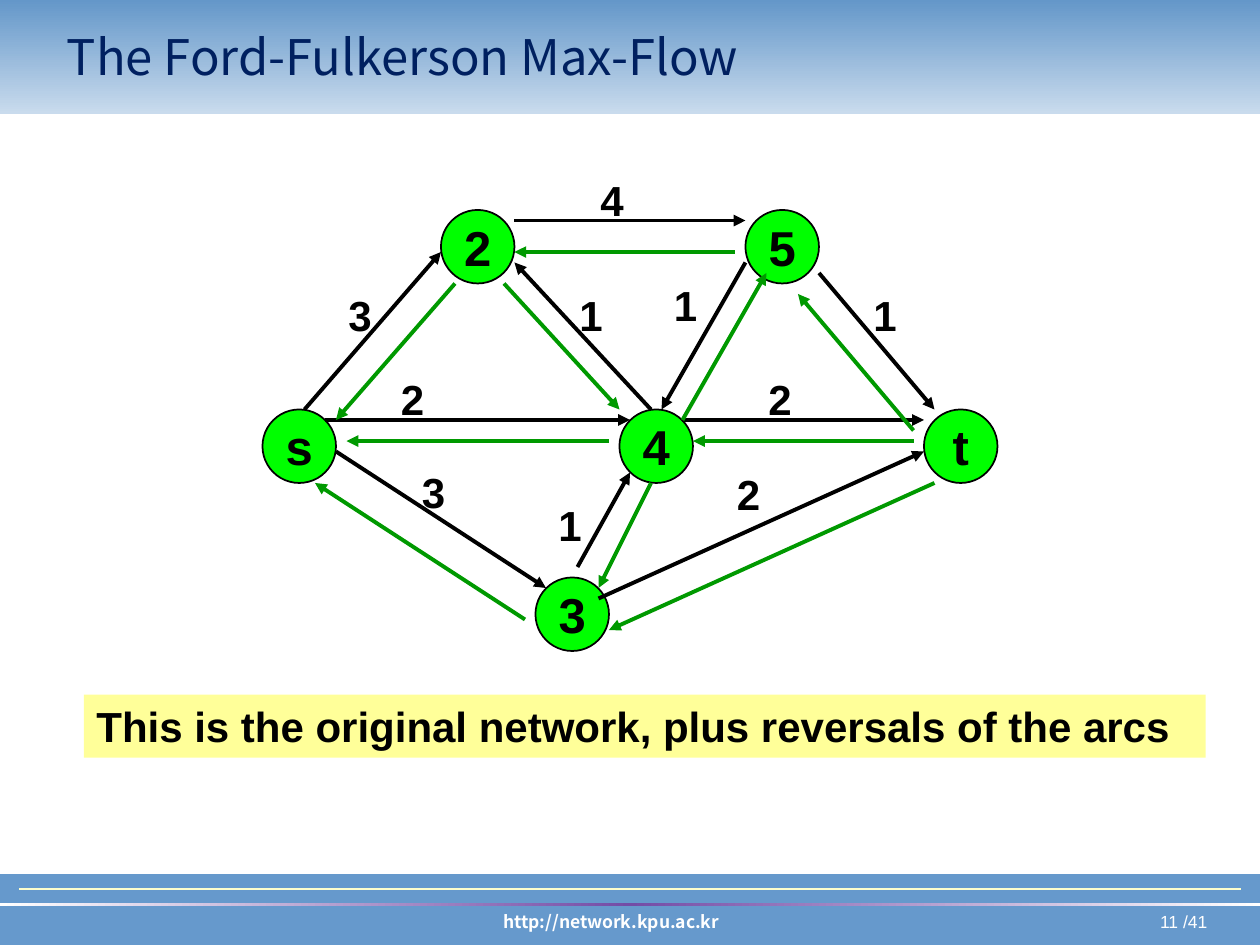
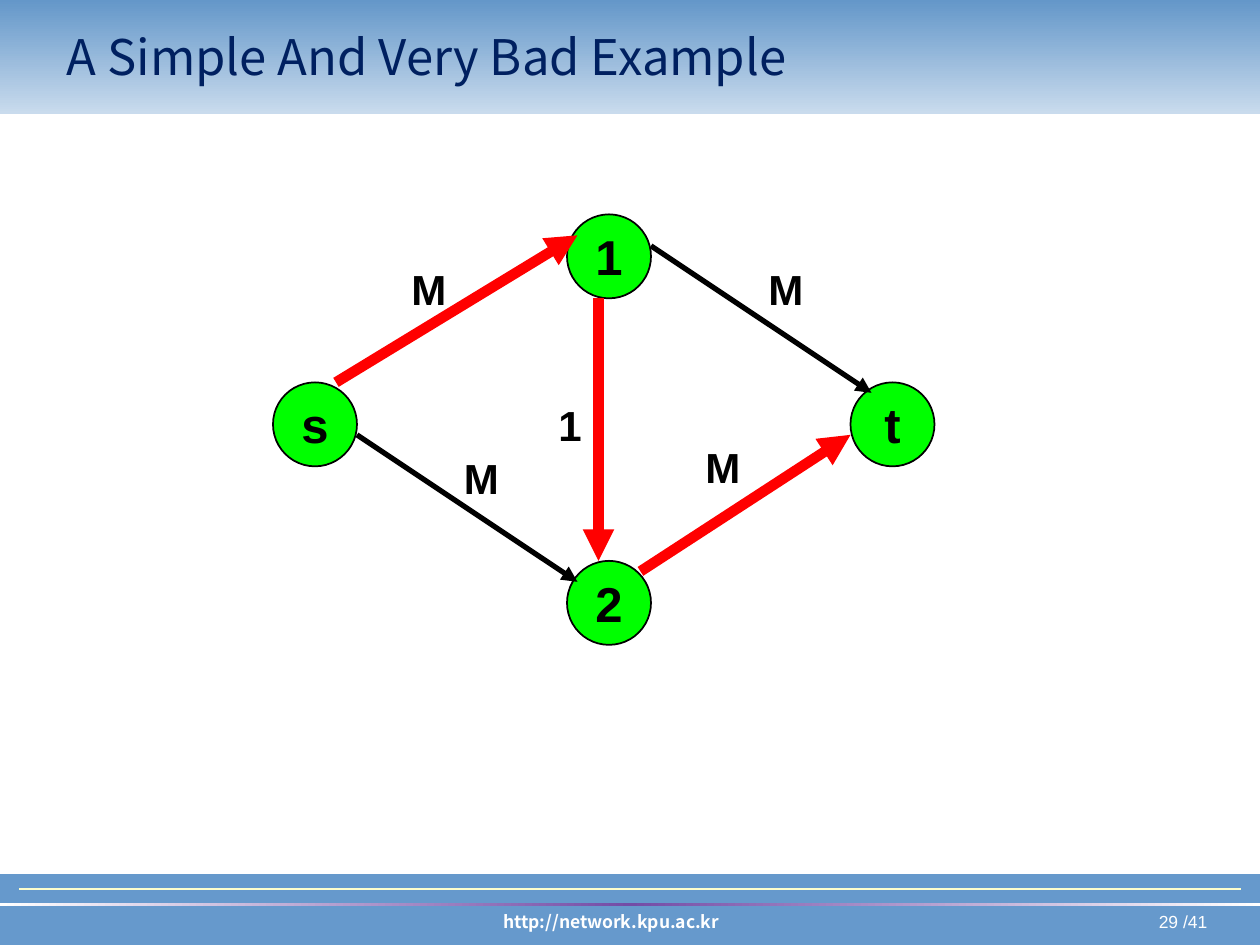
from lxml.etree import SubElement
from pptx import Presentation
from pptx.dml.color import RGBColor
from pptx.enum.shapes import MSO_CONNECTOR, MSO_SHAPE
from pptx.enum.text import MSO_ANCHOR, MSO_AUTO_SIZE, PP_ALIGN
from pptx.oxml.ns import qn
from pptx.util import Pt

WIDTH, HEIGHT = 720, 540
BLACK, GREEN, RED = "000000", "009900", "FF0000"


def rgb(hex_colour):
    return RGBColor.from_string(hex_colour)


class Deck:
    body_font = "Arial"
    title_font = "Noto Sans CJK KR"
    navy, blue, white, cream = "002060", "6699CC", "FFFFFF", "FFFFCC"
    node_fill, caption_fill = "00FF00", "FFFF99"
    page_total = 41

    def __init__(self):
        self.presentation = Presentation()
        self.presentation.slide_width = Pt(WIDTH)
        self.presentation.slide_height = Pt(HEIGHT)
        self.slide = None

    def start_slide(self, title, page):
        self.slide = self.presentation.slides.add_slide(self.presentation.slide_layouts[5])
        self.box(0, 500, WIDTH, 39.5, fill=self.blue, line=self.blue, line_width=0.75)
        self.text(f"{page} /{self.page_total}", 534, 517, 163, 19.5, 10, self.white,
                  bold=False, align=PP_ALIGN.RIGHT)
        self.text("http://network.kpu.ac.kr", 163.5, 517, 371.5, 19.5, 10, self.white,
                  font=self.title_font, align=PP_ALIGN.CENTER)
        self.line((11, 508), (709, 508), self.cream, 1.5)
        self.gradient_band(0, 65, ["6497C9", "C9DBED"], 270)
        self.gradient_band(516, 1.8, [self.white, "734CA6", self.white], 0)
        self.title(title)

    def title(self, words):
        heading = self.slide.shapes.title
        self.slide.shapes._spTree.append(heading._element)
        heading.left, heading.top = Pt(31), Pt(3.5)
        heading.width, heading.height = Pt(669), Pt(57)
        self.set_words(heading.text_frame, words, 28, self.navy, font=self.title_font,
                       bold=False)
        heading.text_frame.vertical_anchor = MSO_ANCHOR.MIDDLE

    def set_words(self, frame, words, size, colour, font=None, bold=True,
                  align=PP_ALIGN.LEFT):
        frame.text = words
        frame.word_wrap = True
        frame.auto_size = MSO_AUTO_SIZE.NONE
        paragraph = frame.paragraphs[0]
        paragraph.alignment = align
        for run in paragraph.runs:
            run.font.name = font or self.body_font
            run.font.size = Pt(size)
            run.font.bold = bold
            run.font.color.rgb = rgb(colour)

    def text(self, words, left, top, width, height, size, colour, **style):
        area = self.slide.shapes.add_textbox(Pt(left), Pt(top), Pt(width), Pt(height))
        self.set_words(area.text_frame, words, size, colour, **style)

    def box(self, left, top, width, height, fill=None, line=None, line_width=1,
            kind=MSO_SHAPE.RECTANGLE):
        shape = self.slide.shapes.add_shape(kind, Pt(left), Pt(top), Pt(width), Pt(height))
        shape.shadow.inherit = False
        if fill:
            shape.fill.solid()
            shape.fill.fore_color.rgb = rgb(fill)
        if line:
            shape.line.color.rgb = rgb(line)
            shape.line.width = Pt(line_width)
        else:
            shape.line.fill.background()
        return shape

    def gradient_band(self, top, height, colours, angle):
        band = self.box(0, top, WIDTH, height)
        band.fill.gradient()
        band.fill.gradient_angle = angle
        stops = band._element.spPr.find(f".//{qn('a:gsLst')}")
        for stop in list(stops):
            stops.remove(stop)
        for index, colour in enumerate(colours):
            position = 100000 * index // (len(colours) - 1)
            stop = SubElement(stops, qn("a:gs"), pos=str(position))
            SubElement(stop, qn("a:srgbClr"), val=colour)

    def line(self, start, end, colour, width):
        connector = self.slide.shapes.add_connector(
            MSO_CONNECTOR.STRAIGHT, *(Pt(value) for value in (*start, *end)))
        connector.line.color.rgb = rgb(colour)
        connector.line.width = Pt(width)
        SubElement(connector._element.spPr, qn("a:effectLst"))
        return connector

    def arc(self, start, end, colour, width):
        arrow = self.line(start, end, colour, width)
        outline = arrow._element.spPr.find(qn("a:ln"))
        SubElement(outline, qn("a:tailEnd"), type="triangle")

    def node(self, name, left, top, diameter):
        circle = self.box(left, top, diameter, diameter, self.node_fill, BLACK,
                          kind=MSO_SHAPE.OVAL)
        self.set_words(circle.text_frame, name, 28, BLACK, align=PP_ALIGN.CENTER)
        circle.text_frame.word_wrap = False
        circle.text_frame.vertical_anchor = MSO_ANCHOR.MIDDLE

    def capacity(self, value, left, top):
        self.text(value, left, top, 42, 36, 24, BLACK)

    def caption(self, words):
        bar = self.box(48, 397, 641, 36, fill=self.caption_fill)
        self.set_words(bar.text_frame, words, 24, BLACK)
        bar.text_frame.vertical_anchor = MSO_ANCHOR.TOP

    def network(self, capacities, nodes, diameter, arc_groups):
        for value, left, top in capacities:
            self.capacity(value, left, top)
        for name, left, top in nodes:
            self.node(name, left, top, diameter)
        for colour, width, arcs in arc_groups:
            for start, end in arcs:
                self.arc(start, end, colour, width)


def max_flow_slide(deck):
    deck.start_slide("The Ford-Fulkerson Max-Flow", 11)
    deck.caption("This is the original network, plus reversals of the arcs")
    capacities = [
        ("4", 336, 96), ("1", 492, 162), ("1", 378, 156), ("2", 432, 210), ("2", 414, 264),
        ("1", 312, 282), ("2", 222, 210), ("3", 192, 162), ("3", 234, 263), ("1", 324, 162),
    ]
    nodes = [
        ("s", 150, 234), ("2", 252, 120), ("4", 354, 234),
        ("5", 426, 120), ("3", 306, 330), ("t", 528, 234),
    ]
    forward = [
        ((192, 258), (312, 336)),
        ((174, 234), (252, 144)),
        ((186, 240), (360, 240)),
        ((372, 234), (294, 150)),
        ((294, 126), (426, 126)),
        ((426, 150), (378, 234)),
        ((390, 240), (528, 240)),
        ((342, 342), (528, 258)),
        ((468, 156), (534, 234)),
        ((330, 324), (360, 270)),
    ]
    reverse = [
        ((372, 276), (342, 336)),
        ((300, 354), (180, 276)),
        ((260, 162), (192, 240)),
        ((348, 252), (198, 252)),
        ((288, 162), (354, 234)),
        ((420, 144), (294, 144)),
        ((390, 240), (438, 156)),
        ((534, 276), (348, 360)),
        ((522, 246), (456, 168)),
        ((522, 252), (396, 252)),
    ]
    deck.network(capacities, nodes, 42, [(BLACK, 2.25, forward), (GREEN, 2.25, reverse)])


def bad_example_slide(deck):
    deck.start_slide("A Simple And Very Bad Example", 29)
    capacities = [
        ("M", 228, 147), ("M", 432, 147), ("M", 396, 248.5), ("M", 258, 255), ("1", 312, 225),
    ]
    nodes = [("s", 156, 218.5), ("1", 324, 122.5), ("2", 324, 320.5), ("t", 486, 218.5)]
    unused = [((372, 140.5), (498, 224.5)), ((204, 248.5), (330, 332.5))]
    augmenting = [
        ((192, 218.5), (330, 134.5)),
        ((366, 326.5), (486, 248.5)),
        ((342, 170.5), (342, 320.5)),
    ]
    deck.network(capacities, nodes, 48, [(BLACK, 3, unused), (RED, 6, augmenting)])


def main():
    deck = Deck()
    max_flow_slide(deck)
    bad_example_slide(deck)
    deck.presentation.save("out.pptx")


if __name__ == "__main__":
    main()
